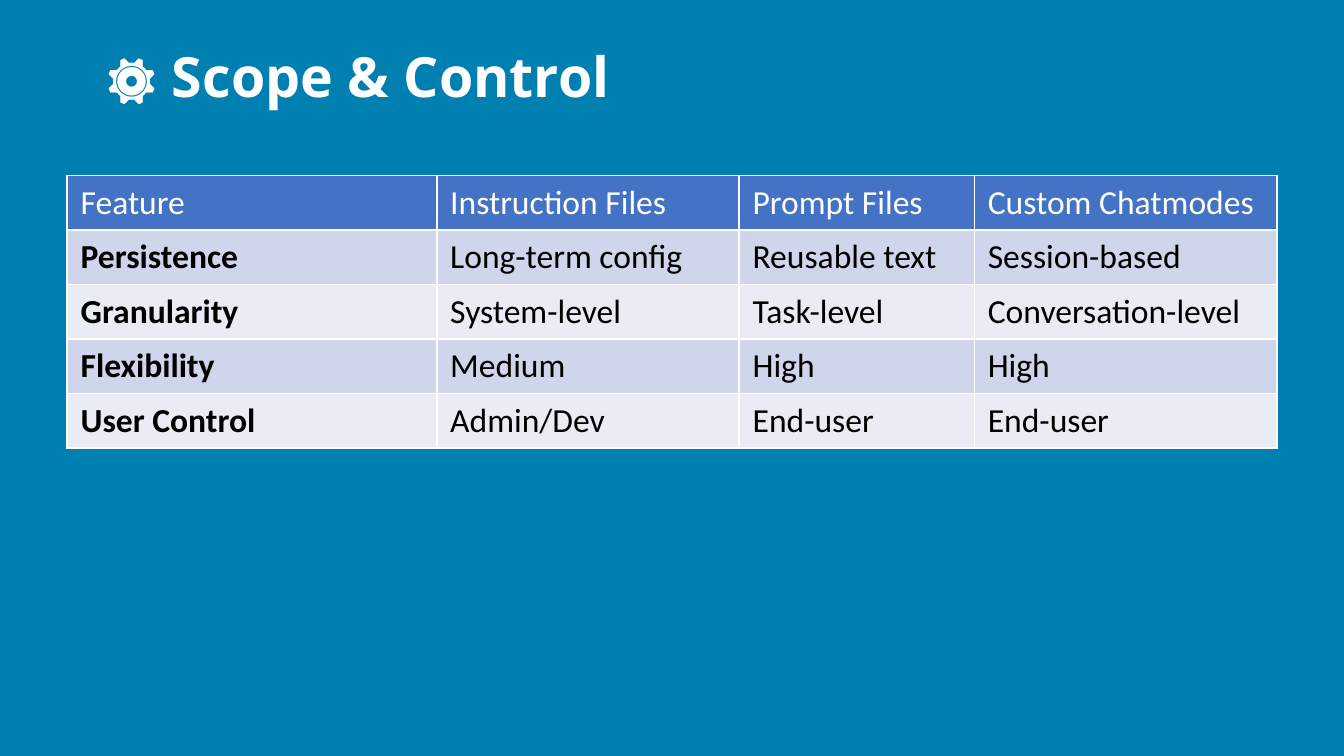
from lxml import etree
from pptx import Presentation
from pptx import util as u
from pptx.dml.color import RGBColor
from pptx.enum import text
from pptx.oxml.ns import qn

PX = u.Inches(1) // 160
COLORS = {
    "background": "007FB1",
    "header": "4472C4",
    "odd": "CFD5EA",
    "even": "E9EBF5",
    "white": "FFFFFF",
    "black": "000000",
}
COMPARISON = [
    ("Feature", "Instruction Files", "Prompt Files", "Custom Chatmodes"),
    ("Persistence", "Long-term config", "Reusable text", "Session-based"),
    ("Granularity", "System-level", "Task-level", "Conversation-level"),
    ("Flexibility", "Medium", "High", "High"),
    ("User Control", "Admin/Dev", "End-user", "End-user"),
]


def color(name):
    return RGBColor.from_string(COLORS[name])


def write(frame, words, *, font, size, ink, bold=False, spacing=None):
    paragraph = frame.paragraphs[0]
    paragraph.alignment = text.PP_ALIGN.LEFT
    if spacing:
        paragraph.line_spacing = spacing
    run = paragraph.add_run()
    run.text = words
    run.font.name = font
    run.font.size = u.Pt(size)
    run.font.bold = bold
    run.font.color.rgb = color(ink)


class Deck:
    title_font = "Noto Sans"
    body_font = "Calibri"

    def __init__(self, width, height):
        self.presentation = Presentation()
        self.presentation.slide_width = width * PX
        self.presentation.slide_height = height * PX
        self.slide = self.presentation.slides.add_slide(self.presentation.slide_layouts[5])
        background = self.slide.background.fill
        background.solid()
        background.fore_color.rgb = color("background")

    def title(self, words, left, top, width, height):
        heading = self.slide.shapes.title
        heading.left, heading.top = left * PX, top * PX
        heading.width, heading.height = width * PX, height * PX
        frame = heading.text_frame
        frame.word_wrap = True
        frame.auto_size = text.MSO_AUTO_SIZE.NONE
        frame.vertical_anchor = text.MSO_ANCHOR.MIDDLE
        write(frame, words, font=self.title_font, size=29.7, ink="white", bold=True, spacing=0.9)

    def border(self, cell, side):
        properties = cell._tc.get_or_add_tcPr()
        line = etree.SubElement(properties, qn(f"a:ln{side}"), w=str(u.Pt(1)))
        fill = etree.SubElement(line, qn("a:solidFill"))
        etree.SubElement(fill, qn("a:srgbClr"), val=COLORS["white"])

    def table(self, rows, left, top, widths, row_height):
        grid = self.slide.shapes.add_table(
            len(rows), len(widths), left * PX, top * PX,
            sum(widths) * PX, len(rows) * row_height * PX,
        ).table
        for column, width in zip(grid.columns, widths):
            column.width = width * PX
        for r, row in enumerate(rows):
            header = r == 0
            band = "header" if header else "odd" if r % 2 else "even"
            for c, words in enumerate(row):
                cell = grid.cell(r, c)
                for side in "LRTB":
                    self.border(cell, side)
                cell.fill.solid()
                cell.fill.fore_color.rgb = color(band)
                write(cell.text_frame, words, font=self.body_font, size=18,
                      ink="white" if header else "black", bold=c == 0 and not header)


def main():
    deck = Deck(1600, 900)
    deck.title("⚙️ Scope & Control", 110, 48, 1171, 93)
    deck.table(COMPARISON, 80, 209, [440, 360, 280, 360], 52)
    deck.presentation.save("out.pptx")


if __name__ == "__main__":
    main()
